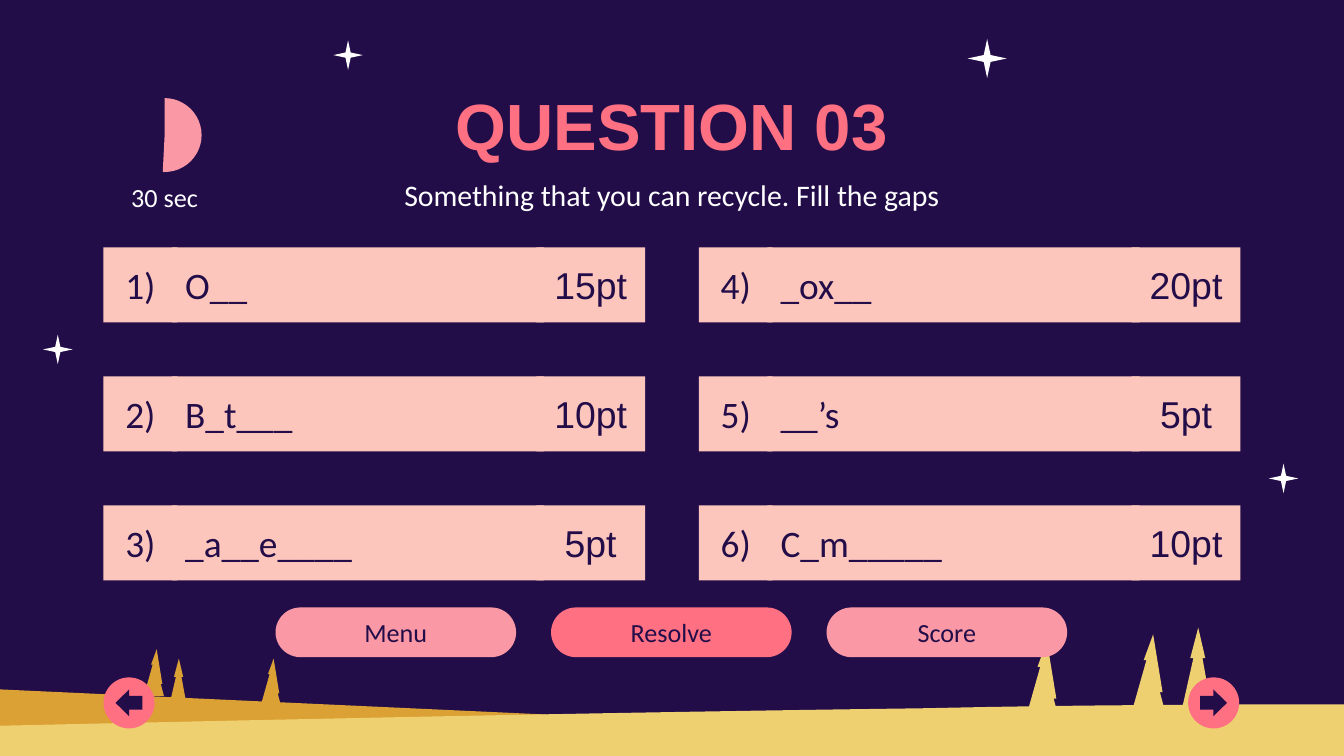
from pptx import Presentation
from pptx.dml.color import RGBColor
from pptx.enum.shapes import MSO_SHAPE
from pptx.enum.text import MSO_ANCHOR, PP_ALIGN
from pptx.util import Inches, Pt

RECT, PILL, OVAL = MSO_SHAPE.RECTANGLE, MSO_SHAPE.ROUNDED_RECTANGLE, MSO_SHAPE.OVAL
STAR, PIE = MSO_SHAPE.STAR_4_POINT, MSO_SHAPE.PIE
LEFT_ARROW, RIGHT_ARROW = MSO_SHAPE.LEFT_ARROW, MSO_SHAPE.RIGHT_ARROW
LEFT, CENTER, MIDDLE = PP_ALIGN.LEFT, PP_ALIGN.CENTER, MSO_ANCHOR.MIDDLE

SLIDE_W = 10
SLIDE_H = SLIDE_W * 9 / 16
COLORS = {
    "night": "220D49", "white": "FFFFFF", "coral": "FF7083", "rose": "FA98A5",
    "peach": "FDC6BC", "ochre": "DBA134", "sand": "EED071",
}

# Content
HEADINGS = [  # text, box, format, color
    ("QUESTION 03", (2.37, 0.59, 5.26, 0.67),
     {"size": Pt(35), "name": "Arial", "bold": True}, "coral"),
    ("Something that you can recycle. Fill the gaps", (2.37, 1.26, 5.26, 0.37),
     {"size": Pt(16), "name": "Calibri"}, "white"),
    ("30 sec", (0.74, 1.28, 0.97, 0.37),
     {"size": Pt(14), "name": "Calibri"}, "white"),
]
CLUES = [
    ("O__", "15pt"), ("B_t___", "10pt"), ("_a__e____", "5pt"),
    ("_ox__", "20pt"), ("__’s", "5pt"), ("C_m_____", "10pt"),
]
BUTTONS = [("Menu", "rose"), ("Resolve", "coral"), ("Score", "rose")]
ARROWS = [(0.77, LEFT_ARROW), (8.84, RIGHT_ARROW)]

# Scenery
STARS = [(7.2, 0.29, 0.29), (0.32, 2.49, 0.22), (9.44, 3.45, 0.22), (2.48, 0.3, 0.22)]
FIR = [(0.64, 0), (0.92, 0.74), (0.84, 0.74), (1, 1), (0, 1), (0.44, 0.33), (0.36, 0.33)]
SLIM_FIR = [(0.55, 0), (0.8, 0.39), (0.7, 0.39), (1, 1), (0, 1), (0.38, 0.39), (0.27, 0.39)]
TREES = [  # outline, box, color
    (FIR, (8.42, 4.72, 0.25, 0.58), "sand"),
    (FIR, (7.63, 4.77, 0.25, 0.58), "sand"),
    (FIR, (1.07, 4.83, 0.15, 0.35), "ochre"),
    (FIR, (1.94, 4.9, 0.15, 0.35), "ochre"),
    (SLIM_FIR, (1.26, 4.9, 0.13, 0.35), "ochre"),
    (SLIM_FIR, (8.8, 4.67, 0.21, 0.58), "sand"),
]
GROUND = 5.69
FAR_HILL = [(0, 5.13), (10, 5.59), (10, GROUND), (0, GROUND)]
DUNE_CURVES = [
    [(10, 5.24), (8.83, 5.24), (7.8, 5.25), (6.86, 5.27)],
    [(6.86, 5.27), (4.54, 5.3), (2.25, 5.35), (0, 5.4)],
]

# Layout
ROWS, ROW_TOP, ROW_STEP, ROW_H = 3, 1.84, 0.96, 0.56
COLUMN_LEFT, COLUMN_STEP = 0.77, 4.43
CLUE_CELLS = [  # offset in the column, width, font, alignment
    (0, 0.55, "Calibri", CENTER), (0.51, 2.77, "Calibri", LEFT), (3.22, 0.81, "Arial", CENTER),
]
BUTTON_LEFT, BUTTON_TOP, BUTTON_STEP, BUTTON_W, BUTTON_H = 2.05, 4.52, 2.05, 1.79, 0.37
ARROW_TOP, DISC, ARROW = 5.04, 0.38, 0.2

prs = Presentation()
prs.slide_width, prs.slide_height = Inches(SLIDE_W), Inches(SLIDE_H)
slide = prs.slides.add_slide(prs.slide_layouts[6])


def rgb(color):
    return RGBColor.from_string(COLORS[color])


def paint(shape, color):
    shape.shadow.inherit = False
    shape.fill.solid()
    shape.fill.fore_color.rgb = rgb(color)
    shape.line.fill.background()


def add_shape(kind, box, color, adjustments=()):
    shape = slide.shapes.add_shape(kind, *map(Inches, box))
    paint(shape, color)
    for index, value in enumerate(adjustments):
        shape.adjustments[index] = value
    return shape


def add_outline(points, color):
    corners = [(Inches(x), Inches(y)) for x, y in points]
    builder = slide.shapes.build_freeform(*corners[0])
    builder.add_line_segments(corners[1:], close=True)
    paint(builder.convert_to_shape(), color)


def curve_points(curve, steps=12):
    for step in range(steps + 1):
        t = step / steps
        weights = ((1 - t) ** 3, 3 * t * (1 - t) ** 2, 3 * t * t * (1 - t), t ** 3)
        yield tuple(sum(w * point[axis] for w, point in zip(weights, curve)) for axis in (0, 1))


def write(shape, text, font, color="night", align=CENTER):
    frame = shape.text_frame
    margins = {f"margin_{side}": Inches(0.1) for side in ("left", "right", "top", "bottom")}
    for name, value in {"word_wrap": True, "vertical_anchor": MIDDLE, **margins}.items():
        setattr(frame, name, value)
    paragraph = frame.paragraphs[0]
    paragraph.alignment = align
    run = paragraph.add_run()
    run.text = text
    for name, value in font.items():
        setattr(run.font, name, value)
    run.font.color.rgb = rgb(color)


# Night sky, hills and trees
slide.background.fill.solid()
slide.background.fill.fore_color.rgb = rgb("night")
for left, top, size in STARS:
    add_shape(STAR, (left, top, size, size), "white", [0.125])
add_outline(FAR_HILL, "ochre")
dune_crest = [point for curve in DUNE_CURVES for point in curve_points(curve)]
add_outline(dune_crest + [(0, GROUND), (SLIDE_W, GROUND)], "sand")
for outline, (left, top, width, height), color in TREES:
    add_outline([(left + x * width, top + y * height) for x, y in outline], color)

# Headings and timer
for text, box, font, color in HEADINGS:
    write(slide.shapes.add_textbox(*map(Inches, box)), text, font, color)
add_shape(PIE, (0.95, 0.73, 0.55, 0.55), "rose", [162, 55.73])

# Clue cards: number, word with gaps, points
for index, (word, points) in enumerate(CLUES):
    column, row = divmod(index, ROWS)
    column_left = COLUMN_LEFT + column * COLUMN_STEP
    top = ROW_TOP + row * ROW_STEP
    texts = (f"{index + 1})", word, points)
    for text, (offset, width, font_name, align) in zip(texts, CLUE_CELLS):
        card = add_shape(RECT, (column_left + offset, top, width, ROW_H), "peach")
        write(card, text, {"size": Pt(20), "name": font_name}, align=align)

# Buttons
for index, (label, color) in enumerate(BUTTONS):
    box = (BUTTON_LEFT + index * BUTTON_STEP, BUTTON_TOP, BUTTON_W, BUTTON_H)
    write(add_shape(PILL, box, color, [0.5]), label, {"size": Pt(14), "name": "Calibri"})

# Previous and next arrows
inset = (DISC - ARROW) / 2
for left, arrow_kind in ARROWS:
    add_shape(OVAL, (left, ARROW_TOP, DISC, DISC), "coral")
    add_shape(arrow_kind, (left + inset, ARROW_TOP + inset, ARROW, ARROW), "night", [0.51, 0.51])

prs.save("out.pptx")
